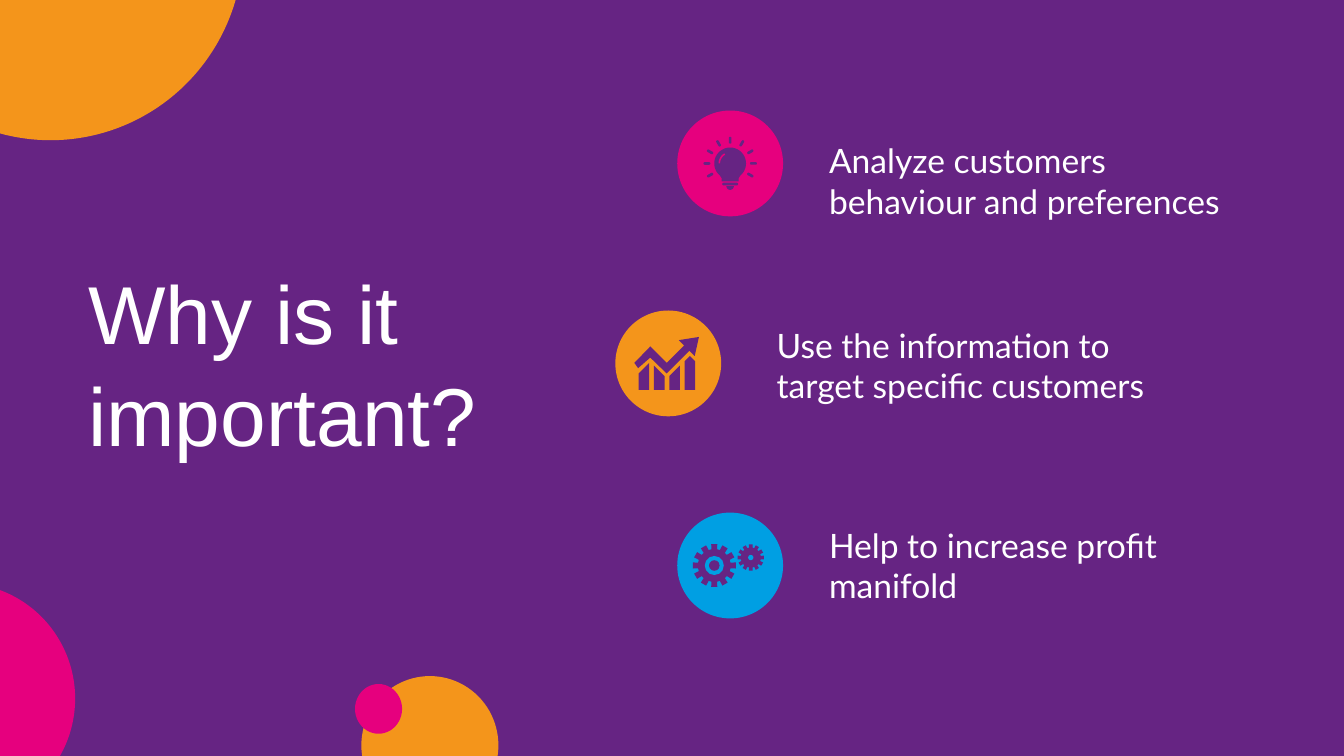
from math import cos, radians, sin

from pptx import Presentation
from pptx.dml.color import RGBColor
from pptx.enum.shapes import MSO_SHAPE
from pptx.enum.text import MSO_ANCHOR, PP_ALIGN
from pptx.util import Cm, Pt

PURPLE = "662483"
ORANGE = "F4951B"
PINK = "E6007E"
BLUE = "009FE3"
WHITE = "FFFFFF"


def rgb(value):
    return RGBColor.from_string(value)


def paint(sp, color):
    sp.shadow.inherit = False
    sp.fill.solid()
    sp.fill.fore_color.rgb = rgb(color)
    sp.line.fill.background()


def add_preset(shapes, kind, x, y, w, h, color):
    sp = shapes.add_shape(kind, Cm(x), Cm(y), Cm(w), Cm(h))
    paint(sp, color)
    return sp


def add_disc(shapes, cx, cy, radius, color):
    add_preset(shapes, MSO_SHAPE.OVAL, cx - radius, cy - radius, 2 * radius, 2 * radius, color)


def add_bar(shapes, cx, cy, w, h, color, angle=0):
    sp = add_preset(shapes, MSO_SHAPE.ROUNDED_RECTANGLE, cx - w / 2, cy - h / 2, w, h, color)
    sp.adjustments[0] = 0.5
    sp.rotation = angle


def add_polygon(shapes, cx, cy, points, color):
    points = [(Cm(cx + x), Cm(cy + y)) for x, y in points]
    builder = shapes.build_freeform(*points[0])
    builder.add_line_segments(points[1:], close=True)
    paint(builder.convert_to_shape(), color)


def polar(radius, angle):
    return radius * cos(radians(angle)), radius * sin(radians(angle))


def arc(radius, start, end, step=5):
    return [polar(radius, a) for a in range(start, end + step, step)]


def add_text(slide, x, y, w, h, text, font, size, spacing=1.0):
    tf = slide.shapes.add_textbox(Cm(x), Cm(y), Cm(w), Cm(h)).text_frame
    tf.word_wrap = True
    tf.vertical_anchor = MSO_ANCHOR.MIDDLE
    tf.margin_left = tf.margin_right = tf.margin_top = tf.margin_bottom = Cm(0.25)
    p = tf.paragraphs[0]
    p.text = text
    p.alignment = PP_ALIGN.LEFT
    p.line_spacing = spacing
    p.font.name = font
    p.font.size = Pt(size)
    p.font.color.rgb = rgb(WHITE)


def draw_bulb(shapes, cx, cy, back):
    neck = [(-0.16, 0.28), (-0.16, 0.34), (0.16, 0.34), (0.16, 0.28)]
    add_polygon(shapes, cx, cy, arc(0.3, 130, 410) + neck[::-1], PURPLE)
    add_polygon(shapes, cx, cy, arc(0.22, 180, 240) + arc(0.19, 180, 240)[::-1], back)
    add_bar(shapes, cx, cy + 0.39, 0.3, 0.05, PURPLE)
    add_polygon(shapes, cx, cy + 0.43, arc(0.07, 0, 180), PURPLE)
    for angle in range(-210, 31, 30):
        dx, dy = polar(0.44, angle)
        add_bar(shapes, cx + dx, cy + dy, 0.13, 0.05, PURPLE, angle)


def draw_chart(shapes, cx, cy, back):
    bar_w, pitch, bottom = 0.2, 0.29, 0.5
    bar_tops = [(0.19, -0.01), (0.04, 0.24), (0.24, 0.04), (-0.04, -0.14, -0.04)]
    for i, tops in enumerate(bar_tops):
        left = -0.56 + i * pitch
        step = bar_w / (len(tops) - 1)
        roof = [(left + k * step, top) for k, top in enumerate(tops)]
        add_polygon(shapes, cx, cy, roof + [(left + bar_w, bottom), (left, bottom)], PURPLE)
    arrow = [(0.58, -0.5), (0.2, -0.44), (0.3, -0.34), (-0.03, -0.01), (-0.34, -0.32),
             (-0.64, -0.01), (-0.57, 0.09), (-0.34, -0.11), (-0.03, 0.19),
             (0.4, -0.24), (0.5, -0.14)]
    add_polygon(shapes, cx, cy, arrow, PURPLE)


def add_gear(shapes, cx, cy, root, tip, hole, back):
    tooth = [(root, -10), (tip, -8), (tip, 8), (root, 10)]
    points = [polar(r, turn + a) for turn in range(0, 360, 30) for r, a in tooth]
    add_polygon(shapes, cx, cy, points, PURPLE)
    add_disc(shapes, cx, cy, hole, back)


def draw_gears(shapes, cx, cy, back):
    add_gear(shapes, cx - 0.3, cy, 0.31, 0.41, 0.18, back)
    add_disc(shapes, cx - 0.3, cy, 0.1, PURPLE)
    add_gear(shapes, cx + 0.39, cy - 0.15, 0.19, 0.25, 0.05, back)


def add_icon(slide, cx, cy, color, draw):
    shapes = slide.shapes.add_group_shape().shapes
    add_disc(shapes, cx, cy, 1, color)
    draw(shapes, cx, cy, color)


def main():
    prs = Presentation()
    prs.slide_width, prs.slide_height = Cm(25.4), Cm(14.29)
    slide = prs.slides.add_slide(prs.slide_layouts[6])
    slide.background.fill.solid()
    slide.background.fill.fore_color.rgb = rgb(PURPLE)

    ornaments = [
        (6.83, 12.78, 2.59, 2.62, ORANGE),
        (-2.92, 11.02, 4.34, 4.37, PINK),
        (-2.69, -4.72, 7.29, 7.37, ORANGE),
        (6.71, 12.93, 0.89, 0.94, PINK),
    ]
    for x, y, w, h, color in ornaments:
        add_preset(slide.shapes, MSO_SHAPE.OVAL, x, y, w, h, color)

    add_text(slide, 1.42, 4.09, 8, 5.46, "Why is it important?", "Arial", 44, 1.04)

    reasons = [
        (13.8, 3.09, PINK, draw_bulb, 15.42, 2.31, 8,
         "Analyze customers behaviour and preferences"),
        (12.63, 6.87, ORANGE, draw_chart, 14.43, 5.79, 8.33,
         "Use the information to target specific customers"),
        (13.8, 10.69, BLUE, draw_gears, 15.42, 9.58, 8,
         "Help to increase profit manifold"),
    ]
    for cx, cy, color, draw, x, y, w, text in reasons:
        add_icon(slide, cx, cy, color, draw)
        add_text(slide, x, y, w, 2.21, text, "Lato", 18)

    prs.save("out.pptx")


if __name__ == "__main__":
    main()
